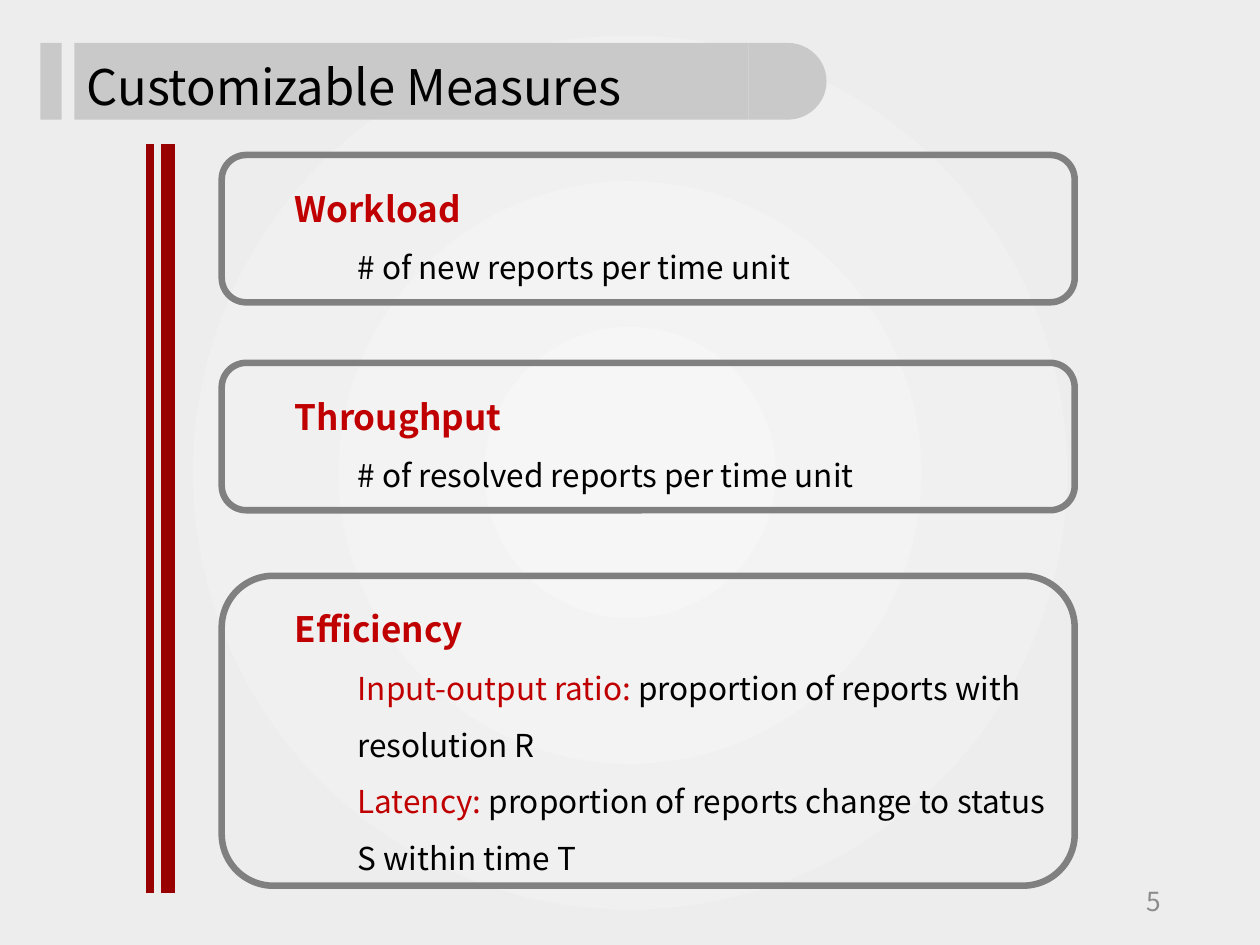
from pptx import Presentation
from pptx.dml.color import RGBColor
from pptx.enum.shapes import MSO_CONNECTOR as Connector, MSO_SHAPE as Shape
from pptx.enum.text import MSO_ANCHOR as Anchor, MSO_AUTO_SIZE as AutoSize, PP_ALIGN as Align
from pptx.oxml import parse_xml
from pptx.oxml.ns import nsdecls, qn
from pptx.util import Inches, Pt

FONT = "Noto Sans CJK SC"
BLACK = RGBColor(0x00, 0x00, 0x00)
RED = RGBColor(0xC0, 0x00, 0x00)
DARK_RED = RGBColor(0x99, 0x00, 0x00)
BANNER_GRAY = RGBColor(0xC9, 0xC9, 0xC9)
FRAME_GRAY = RGBColor(0x80, 0x80, 0x80)
NUMBER_GRAY = RGBColor(0x8C, 0x8C, 0x8C)
CENTER_GRAY = RGBColor(0xF6, 0xF6, 0xF6)
EDGE_GRAY = RGBColor(0xED, 0xED, 0xED)

# Frame top, frame height, text width, text height, heading, lines of (text, color) spans
MEASURES = [
    (1.23, 1.17, 5.68, 1.51, "Workload", [[("# of new reports per time unit", BLACK)]]),
    (2.88, 1.17, 6.29, 1.06, "Throughput", [[("# of resolved reports per time unit", BLACK)]]),
    (4.57, 2.46, 6.29, 2.37, "Efficiency", [
        [("Input-output ratio: ", RED), ("proportion of reports with resolution R", BLACK)],
        [("Latency:", RED), (" proportion of reports change to status S within time T", BLACK)],
    ]),
]


def add_paragraph(frame, spans, size, bold=False, indent=0, spacing=1.0, align=Align.LEFT):
    """Append a paragraph made of (text, color) spans, using the empty first one if free."""
    first = frame.paragraphs[0]
    para = frame.add_paragraph() if first.runs else first
    para.line_spacing = spacing
    para.alignment = align
    if indent:
        para.level = 1
        properties = para._p.get_or_add_pPr()
        properties.set("marL", str(Inches(indent)))
        properties.set("indent", "0")
    for text, color in spans:
        span = para.add_run()
        span.text = text
        span.font.name = FONT
        span.font.size = Pt(size)
        span.font.bold = bold
        span.font.color.rgb = color


class Painter:
    def __init__(self, page):
        self.page = page

    def radial_background(self, stops):
        """Fill the page with a gradient that spreads in circles from its center."""
        marks = "".join(
            f'<a:gs pos="{percent * 1000}"><a:srgbClr val="{color}"/></a:gs>'
            for percent, color in stops)
        background = parse_xml(
            f'<p:bg {nsdecls("p", "a")}><p:bgPr><a:gradFill rotWithShape="1">'
            f'<a:gsLst>{marks}</a:gsLst><a:path path="circle">'
            '<a:fillToRect l="50000" t="50000" r="50000" b="50000"/></a:path>'
            '</a:gradFill><a:effectLst/></p:bgPr></p:bg>')
        self.page._element.cSld.insert(0, background)

    def shape(self, kind, left, top, width, height, fill=None, line=None, weight=0):
        item = self.page.shapes.add_shape(
            kind, Inches(left), Inches(top), Inches(width), Inches(height))
        item.shadow.inherit = False
        if fill is None:
            item.fill.background()
        else:
            item.fill.solid()
            item.fill.fore_color.rgb = fill
        if line is None:
            item.line.fill.background()
        else:
            item.line.color.rgb = line
            item.line.width = Pt(weight)

    def text_box(self, left, top, width, height, anchor=Anchor.TOP, grow=False):
        box = self.page.shapes.add_textbox(
            Inches(left), Inches(top), Inches(width), Inches(height))
        frame = box.text_frame
        frame.word_wrap = True
        frame.vertical_anchor = anchor
        frame.auto_size = AutoSize.SHAPE_TO_FIT_TEXT if grow else AutoSize.NONE
        return frame

    def vertical_line(self, x, top, bottom, weight):
        line = self.page.shapes.add_connector(
            Connector.STRAIGHT, Inches(x), Inches(top), Inches(x), Inches(bottom))
        line.line.color.rgb = DARK_RED
        line.line.width = Pt(weight)
        properties = line._element.spPr
        properties.append(properties.makeelement(qn("a:effectLst"), {}))

    def banner(self, title):
        for kind, left, width in [(Shape.FLOWCHART_DELAY, 5.94, 0.62),
                                  (Shape.RECTANGLE, 0.59, 5.35),
                                  (Shape.RECTANGLE, 0.32, 0.17)]:
            self.shape(kind, left, 0.34, width, 0.61, fill=BANNER_GRAY)
        frame = self.text_box(0.59, 0.4, 5.97, 0.63, anchor=Anchor.MIDDLE)
        add_paragraph(frame, [(title, BLACK)], 28, spacing=0.9)

    def measure(self, top, height, text_width, text_height, heading, lines):
        self.shape(Shape.ROUNDED_RECTANGLE, 1.76, top, 6.77, height,
                   line=FRAME_GRAY, weight=3.75)
        frame = self.text_box(2.24, top + 0.04, text_width, text_height, grow=True)
        add_paragraph(frame, [(heading, RED)], 20, bold=True, spacing=1.5)
        for spans in lines:
            add_paragraph(frame, spans, 18, indent=0.5, spacing=1.5)


def main():
    deck = Presentation()
    deck.slide_width, deck.slide_height = Inches(10), Inches(7.5)
    painter = Painter(deck.slides.add_slide(deck.slide_layouts[6]))
    painter.radial_background(
        [(0, CENTER_GRAY), (74, EDGE_GRAY), (83, EDGE_GRAY), (100, EDGE_GRAY)])
    painter.banner("Customizable Measures")
    for measure in MEASURES:
        painter.measure(*measure)
    for x, weight in [(1.33, 8), (1.19, 5)]:
        painter.vertical_line(x, 1.14, 7.09, weight)
    number = painter.text_box(7.06, 6.95, 2.25, 0.4, anchor=Anchor.MIDDLE)
    add_paragraph(number, [("5", NUMBER_GRAY)], 15, align=Align.RIGHT)
    deck.save("out.pptx")


if __name__ == "__main__":
    main()
